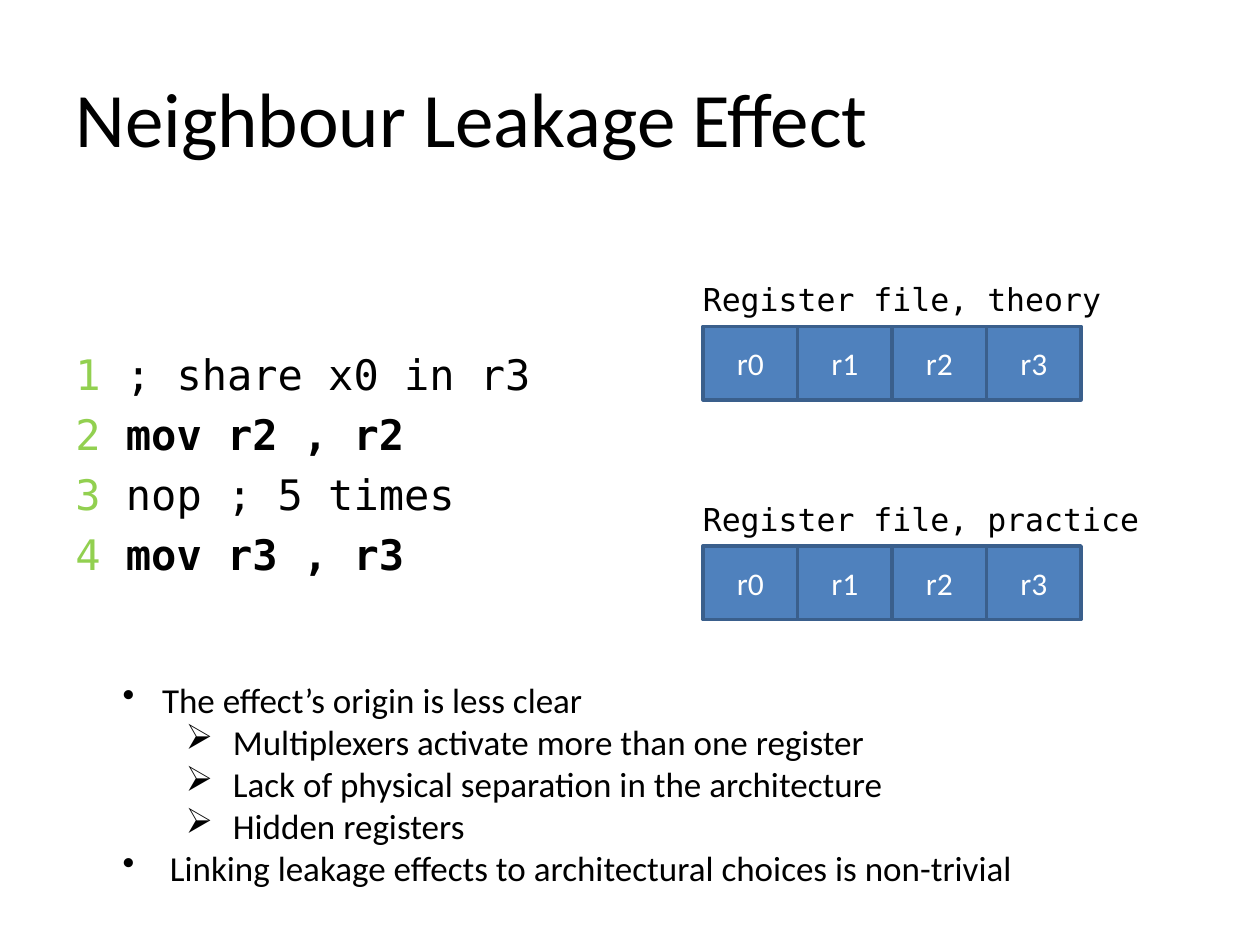
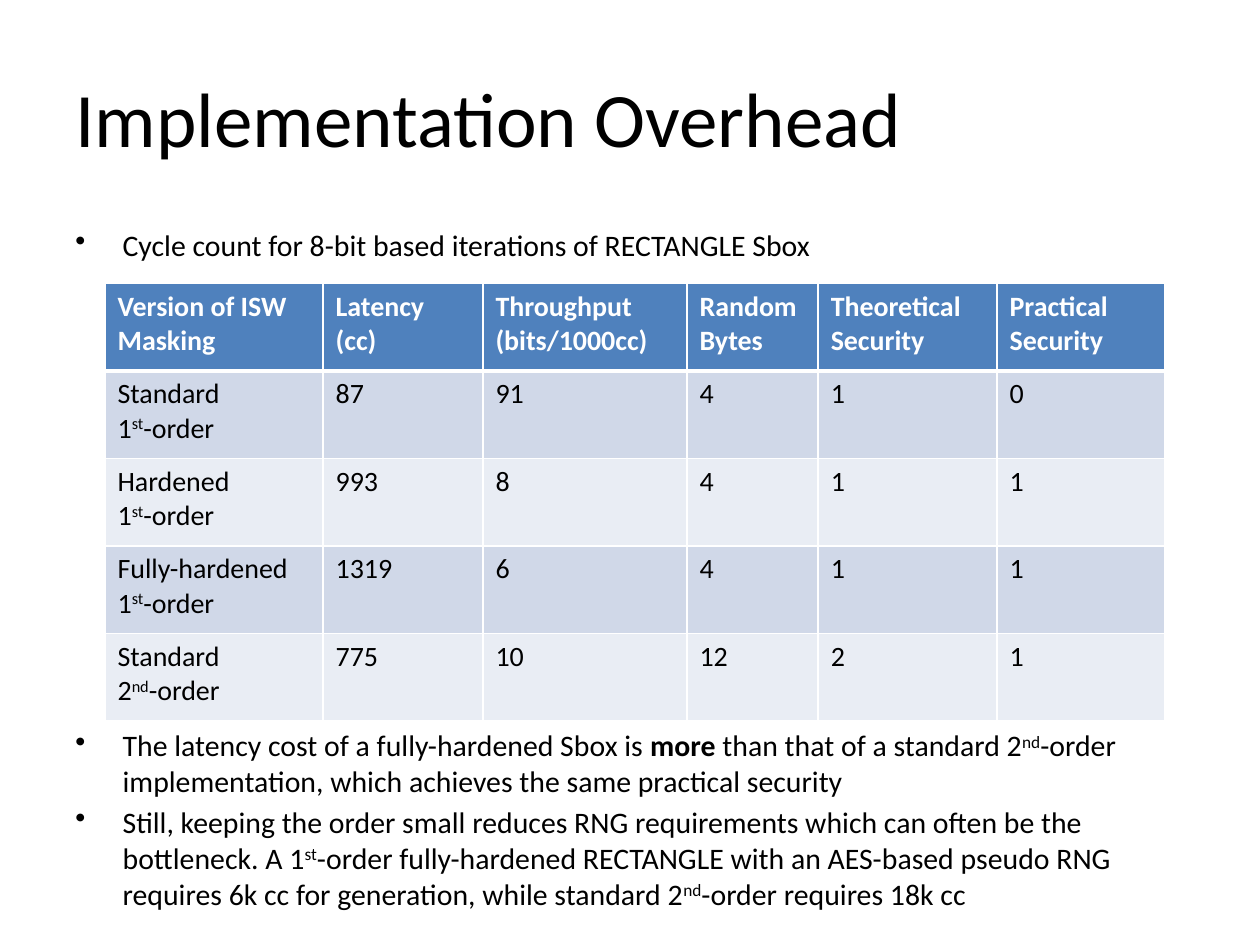
"""Build two slides on leakage effects and masking overhead."""
from dataclasses import dataclass
from typing import NamedTuple

from lxml.etree import SubElement
from pptx import Presentation
from pptx.dml.color import RGBColor
from pptx.enum.shapes import MSO_SHAPE
from pptx.enum.text import MSO_ANCHOR, PP_ALIGN
from pptx.oxml.ns import qn
from pptx.util import Pt


@dataclass(frozen=True)
class Theme:
    """Colours, fonts and type sizes of the deck."""
    black: str = "000000"
    white: str = "FFFFFF"
    accent: str = "4F81BD"
    accent_dark: str = "3A5F8C"
    number: str = "92D050"
    bands: tuple[str, str] = ("D0D8E8", "E9EDF4")
    sans: str = "Calibri"
    mono: str = "DejaVu Sans Mono"
    title: float = 44
    code: float = 24
    point: float = 20
    label: float = 18
    note: float = 17
    cell: float = 16


THEME = Theme()


class Box(NamedTuple):
    """A rectangle in points."""
    left: float
    top: float
    width: float
    height: float


class Span(NamedTuple):
    """A stretch of text with one look; a lone newline is a line break."""
    text: str
    bold: bool = False
    color: str = THEME.black
    raised: bool = False


class Para(NamedTuple):
    """A paragraph with an optional hanging bullet."""
    spans: list[Span]
    bullet: str = ""
    margin: float = 0
    hang: float = 0
    level: int = 0


class Register(NamedTuple):
    """A captioned row of register cells."""
    caption: str
    top: float


class Version(NamedTuple):
    """A table row for one masking version."""
    name: str
    digit: str
    suffix: str
    values: tuple[str, ...]


TITLE_BOX = Box(36, 21.6, 648, 90)

CODE = [("1", " ; share x0 in r3", False), ("2", " mov r2 , r2", True),
        ("3", " nop ; 5 times", False), ("4", " mov r3 , r3", True)]

REGISTERS = [Register("Register file, theory", 186.5),
             Register("Register file, practice", 312)]
REGISTER_NAMES = ["r0", "r1", "r2", "r3"]
REGISTER_LEFT, REGISTER_WIDTH, REGISTER_HEIGHT = 401.75, 54, 42

ORIGINS = ["Multiplexers activate more than one register",
           "Lack of physical separation in the architecture",
           "Hidden registers"]

HEADINGS = ["Version of ISW Masking", "Latency (cc)", "Throughput (bits/1000cc)",
            "Random Bytes", "Theoretical Security", "Practical Security"]
COLUMN_WIDTHS = [124.6, 91.4, 116.6, 75, 102.2, 95.8]
ROW_HEIGHT = 50
VERSIONS = [Version("Standard", "1", "st", ("87", "91", "4", "1", "0")),
            Version("Hardened", "1", "st", ("993", "8", "4", "1", "1")),
            Version("Fully-hardened", "1", "st", ("1319", "6", "4", "1", "1")),
            Version("Standard", "2", "nd", ("775", "10", "12", "2", "1"))]


def rgb(color: str) -> RGBColor:
    """Return a colour from its hex form."""
    return RGBColor.from_string(color)


def place(box: Box) -> tuple[Pt, ...]:
    """Return the box as lengths."""
    return tuple(Pt(n) for n in box)


def style_run(r, size: float, font: str, span: Span) -> None:
    """Format one run."""
    r.font.size = Pt(size)
    r.font.name = font
    r.font.bold = span.bold
    r.font.color.rgb = rgb(span.color)
    if span.raised:
        r.font._element.set("baseline", "30000")


def write_spans(p, spans: list[Span], size: float, font: str = THEME.sans) -> None:
    """Fill a paragraph with formatted spans."""
    for span in spans:
        if span.text == "\n":
            p.add_line_break()
            continue
        r = p.add_run()
        r.text = span.text
        style_run(r, size, font, span)


def add_bullet(p, para: Para) -> None:
    """Give a paragraph its bullet and hanging indent."""
    p.level = para.level
    props = p._p.get_or_add_pPr()
    props.set("marL", str(Pt(para.margin)))
    props.set("indent", str(-Pt(para.hang)))
    SubElement(props, qn("a:buChar")).set("char", para.bullet)


def add_text(s, box: Box, paras: list[Para], size: float,
             font: str = THEME.sans, gap: float = 0) -> None:
    """Add a wrapping text box."""
    tf = s.shapes.add_textbox(*place(box)).text_frame
    tf.word_wrap = True
    for i, para in enumerate(paras):
        p = tf.add_paragraph() if i else tf.paragraphs[0]
        if para.bullet:
            add_bullet(p, para)
        if i:
            p.space_before = Pt(gap)
        write_spans(p, para.spans, size, font)


def add_titled_slide(prs, title: str):
    """Add a title-only slide with a left-aligned title."""
    s = prs.slides.add_slide(prs.slide_layouts[5])
    sp = s.shapes.title
    sp.left, sp.top, sp.width, sp.height = place(TITLE_BOX)
    tf = sp.text_frame
    tf.text = title
    tf.vertical_anchor = MSO_ANCHOR.MIDDLE
    p = tf.paragraphs[0]
    p.alignment = PP_ALIGN.LEFT
    style_run(p.runs[0], THEME.title, THEME.sans, Span(title))
    return s


def add_register_cell(s, box: Box, name: str) -> None:
    """Add one register rectangle."""
    sp = s.shapes.add_shape(MSO_SHAPE.RECTANGLE, *place(box))
    sp.shadow.inherit = False
    sp.fill.solid()
    sp.fill.fore_color.rgb = rgb(THEME.accent)
    sp.line.color.rgb = rgb(THEME.accent_dark)
    sp.line.width = Pt(2)
    tf = sp.text_frame
    tf.text = name
    tf.vertical_anchor = MSO_ANCHOR.MIDDLE
    p = tf.paragraphs[0]
    p.alignment = PP_ALIGN.CENTER
    style_run(p.runs[0], THEME.label, THEME.sans, Span(name, color=THEME.white))


def add_register_file(s, register: Register) -> None:
    """Add a caption above its row of cells."""
    caption = Box(REGISTER_LEFT - 7.2, register.top - 30, 283, 28.8)
    add_text(s, caption, [Para([Span(register.caption)])], THEME.label, THEME.mono)
    for i, name in enumerate(REGISTER_NAMES):
        left = REGISTER_LEFT + i * REGISTER_WIDTH
        add_register_cell(s, Box(left, register.top, REGISTER_WIDTH, REGISTER_HEIGHT), name)


def style_cell(cell, fill: str, top: float, bottom: float) -> None:
    """Give a cell white borders and a fill."""
    props = cell._tc.get_or_add_tcPr()
    for side, width in (("L", 1), ("R", 1), ("T", top), ("B", bottom)):
        ln = SubElement(props, qn(f"a:ln{side}"))
        ln.set("w", str(Pt(width)))
        color = SubElement(SubElement(ln, qn("a:solidFill")), qn("a:srgbClr"))
        color.set("val", THEME.white)
    cell.fill.solid()
    cell.fill.fore_color.rgb = rgb(fill)


def version_cells(version: Version) -> list[list[Span]]:
    """Return the spans of each cell in a version row."""
    name = [Span(version.name), Span("\n"), Span(version.digit),
            Span(version.suffix, raised=True), Span("-order")]
    return [name] + [[Span(value)] for value in version.values]


def add_overhead_table(s, left: float, top: float) -> None:
    """Add the table of masking versions."""
    header = [[Span(text, True, THEME.white)] for text in HEADINGS]
    rows = [header] + [version_cells(version) for version in VERSIONS]
    box = Box(left, top, sum(COLUMN_WIDTHS), ROW_HEIGHT * len(rows))
    table = s.shapes.add_table(len(rows), len(HEADINGS), *place(box)).table
    for column, width in zip(table.columns, COLUMN_WIDTHS):
        column.width = Pt(width)
    for i, row in enumerate(rows):
        table.rows[i].height = Pt(ROW_HEIGHT)
        fill = THEME.bands[(i - 1) % 2] if i else THEME.accent
        for j, spans in enumerate(row):
            cell = table.cell(i, j)
            style_cell(cell, fill, 3 if i == 1 else 1, 1 if i else 3)
            write_spans(cell.text_frame.paragraphs[0], spans, THEME.cell)


def build_leakage_slide(prs) -> None:
    """Build the slide on neighbour leakage."""
    s = add_titled_slide(prs, "Neighbour Leakage Effect")
    code = [Para([Span(number, color=THEME.number), Span(text, bold)])
            for number, text, bold in CODE]
    add_text(s, Box(36, 195.5, 345, 140), code, THEME.code, THEME.mono, 5.5)
    for register in REGISTERS:
        add_register_file(s, register)
    points = [Para([Span("The effect’s origin is less clear")], "•", 22.5, 22.5)]
    points += [Para([Span(text)], "➢", 63, 27, 1) for text in ORIGINS]
    points.append(Para([Span("Linking leakage effects to architectural choices "
                             "is non-trivial")], "•", 27, 27))
    add_text(s, Box(63, 384, 648, 152), points, THEME.point)


def build_overhead_slide(prs) -> None:
    """Build the slide on implementation overhead."""
    s = add_titled_slide(prs, "Implementation Overhead")
    intro = [Span("Cycle count for 8-bit based iterations of RECTANGLE Sbox")]
    latency = [Span("The latency cost of a fully-hardened Sbox is "),
               Span("more", True), Span(" than that of a standard 2"),
               Span("nd", raised=True),
               Span("-order implementation, which achieves the same practical security")]
    randomness = [Span("Still, keeping the order small reduces RNG requirements which "
                       "can often be the bottleneck. A 1"),
                  Span("st", raised=True),
                  Span("-order fully-hardened RECTANGLE with an AES-based pseudo RNG "
                       "requires 6k cc for generation, while standard 2"),
                  Span("nd", raised=True), Span("-order requires 18k cc")]
    for top, height, notes in ((126, 30, [intro]), (412, 118, [latency, randomness])):
        paras = [Para(spans, "•", 27, 27) for spans in notes]
        add_text(s, Box(36, top, 648, height), paras, THEME.note, gap=3)
    add_overhead_table(s, 60, 162)


def main() -> None:
    """Build and save the deck."""
    prs = Presentation()
    prs.slide_width, prs.slide_height = Pt(720), Pt(540)
    build_leakage_slide(prs)
    build_overhead_slide(prs)
    prs.save("out.pptx")


if __name__ == "__main__":
    main()
